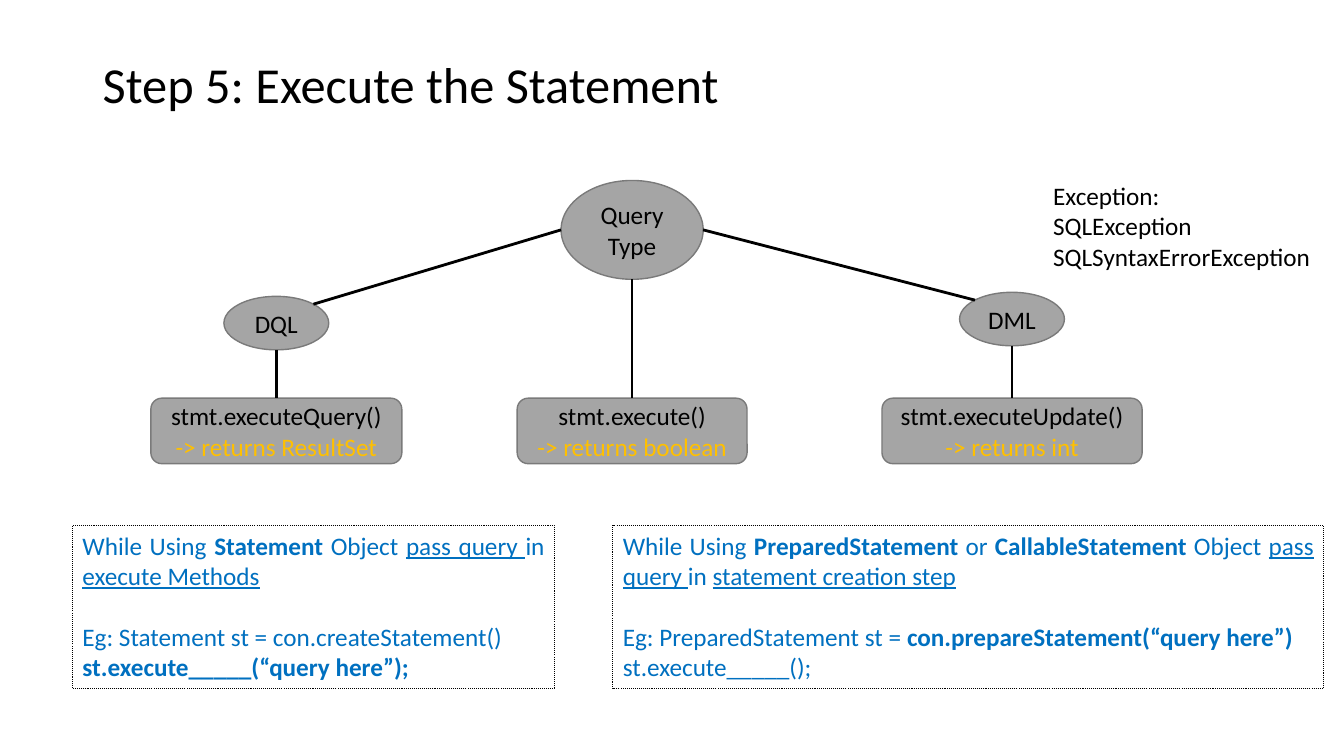
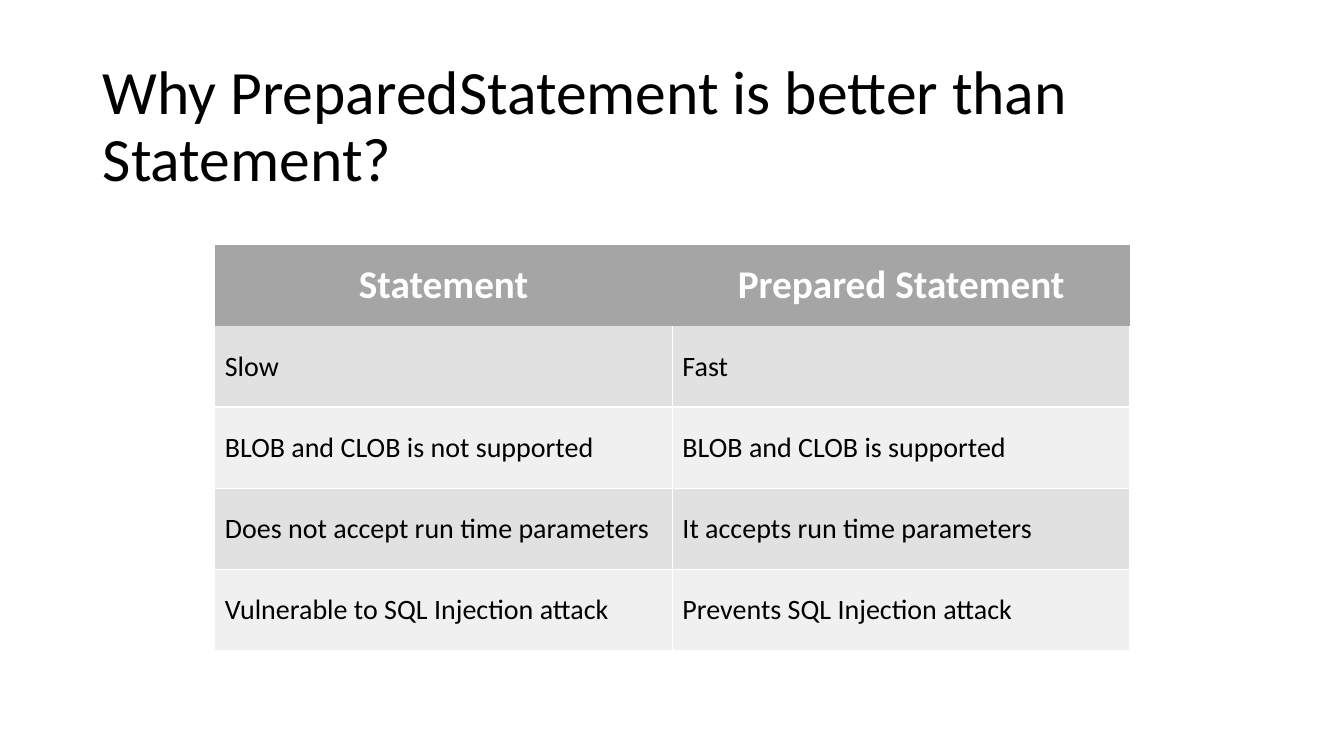
from math import sqrt

from lxml import etree
from pptx import Presentation
from pptx import util as u
from pptx.dml.color import RGBColor
from pptx.enum import dml, shapes, text
from pptx.oxml.ns import qn

FONT = "Calibri"
COLORS = {
    "text": "000000",
    "white": "FFFFFF",
    "node": "A5A5A5",
    "node_line": "7A7A7A",
    "result": "FFC000",
    "note": "0070C0",
    "band_dark": "E1E1E1",
    "band_light": "F0F0F0",
}
TITLE_ONLY = 5
DIAGONAL = sqrt(0.5)
BODY_SIZE = 18
BLANK_LINE = 22
TOP, BOTTOM, LEFT, RIGHT = (0, -1), (0, 1), (-1, 0), (1, 0)
TOP_LEFT, TOP_RIGHT = (-DIAGONAL, -DIAGONAL), (DIAGONAL, -DIAGONAL)

COMPARISON = [
    ("Statement", "Prepared Statement"),
    ("Slow", "Fast"),
    ("BLOB and CLOB is not supported", "BLOB and CLOB is supported"),
    ("Does not accept run time parameters", "It accepts run time parameters"),
    ("Vulnerable to SQL Injection attack", "Prevents SQL Injection attack"),
]
STATEMENT_NOTE = [
    [("While Using ", ""), ("Statement", "b"), (" Object ", ""),
     ("pass query ", "u"), ("in ", ""), ("execute Methods", "u")],
    [("Eg: Statement st = con.createStatement()", "")],
    [("st.execute_____(“query here”);", "b")],
]
PREPARED_NOTE = [
    [("While Using ", ""), ("PreparedStatement", "b"), (" or ", ""),
     ("CallableStatement", "b"), (" Object ", ""), ("pass query ", "u"),
     ("in ", ""), ("statement creation step", "u")],
    [("Eg: PreparedStatement st = ", ""), ("con.prepareStatement(“query here”)", "b")],
    [("st.execute_____();", "")],
]


def color(name):
    return RGBColor.from_string(COLORS[name])


def points(*lengths):
    return [u.Pt(length) for length in lengths]


def add_run(paragraph, words, size=BODY_SIZE, ink="text", style=""):
    """Style holds "b" for bold and "u" for underlined."""
    run = paragraph.add_run()
    run.text = words
    run.font.name = FONT
    run.font.size = u.Pt(size)
    run.font.color.rgb = color(ink)
    run.font.bold = "b" in style
    run.font.underline = "u" in style


def add_paragraph(frame, index, alignment):
    paragraph = frame.paragraphs[0] if index == 0 else frame.add_paragraph()
    paragraph.alignment = alignment
    return paragraph


def add_titled_slide(presentation, words, size, top, height):
    slide = presentation.slides.add_slide(presentation.slide_layouts[TITLE_ONLY])
    title = slide.shapes.title
    title.left, title.top, title.width, title.height = points(66.2, top, 828, height)
    frame = title.text_frame
    frame.auto_size = text.MSO_AUTO_SIZE.NONE
    frame.vertical_anchor = text.MSO_ANCHOR.TOP
    paragraph = add_paragraph(frame, 0, text.PP_ALIGN.LEFT)
    paragraph.line_spacing = 0.9
    add_run(paragraph, words, size)
    return slide


def add_node(slide, kind, center, top, width, height, lines):
    """Add a grey shape; lines are pairs of text and colour name."""
    shape = slide.shapes.add_shape(kind, *points(center - width / 2, top, width, height))
    shape.shadow.inherit = False
    shape.fill.solid()
    shape.fill.fore_color.rgb = color("node")
    shape.line.color.rgb = color("node_line")
    shape.line.width = u.Pt(1)
    frame = shape.text_frame
    frame.word_wrap = True
    frame.vertical_anchor = text.MSO_ANCHOR.MIDDLE
    for index, (words, ink) in enumerate(lines):
        add_run(add_paragraph(frame, index, text.PP_ALIGN.CENTER), words, ink=ink)
    return shape


def add_ellipse(slide, words, center, top, width, height):
    return add_node(slide, shapes.MSO_SHAPE.OVAL, center, top, width, height, [(words, "text")])


def add_method(slide, call, result, center, width):
    lines = [(call, "text"), (result, "result")]
    kind = shapes.MSO_SHAPE.ROUNDED_RECTANGLE
    return add_node(slide, kind, center, 284.4, width, 46.8, lines)


def edge(shape, direction):
    """Return the point reached from the shape's centre, in half-widths and half-heights."""
    across, down = direction
    return (
        round(shape.left + shape.width * (1 + across) / 2),
        round(shape.top + shape.height * (1 + down) / 2),
    )


def add_link(slide, start, start_side, end, end_side):
    link = slide.shapes.add_connector(
        shapes.MSO_CONNECTOR.STRAIGHT, *edge(start, start_side), *edge(end, end_side)
    )
    link.line.color.rgb = color("text")
    link.line.width = u.Pt(2)
    etree.SubElement(link.element.spPr, qn("a:effectLst"))


def add_note(slide, left, width, lines):
    note = slide.shapes.add_textbox(*points(left, 375.1, width, 116.6))
    note.line.color.rgb = color("text")
    note.line.width = u.Pt(0.75)
    note.line.dash_style = dml.MSO_LINE.ROUND_DOT
    frame = note.text_frame
    frame.word_wrap = True
    frame.auto_size = text.MSO_AUTO_SIZE.SHAPE_TO_FIT_TEXT
    for index, runs in enumerate(lines):
        paragraph = add_paragraph(frame, index, text.PP_ALIGN.JUSTIFY)
        if index == 1:
            paragraph.space_before = u.Pt(BLANK_LINE)
        for words, style in runs:
            add_run(paragraph, words, ink="note", style=style)


def add_exceptions(slide, lines):
    box = slide.shapes.add_textbox(*points(745.2, 125.3, 199.4, 72.7))
    frame = box.text_frame
    frame.word_wrap = False
    frame.auto_size = text.MSO_AUTO_SIZE.SHAPE_TO_FIT_TEXT
    for index, words in enumerate(lines):
        add_run(add_paragraph(frame, index, text.PP_ALIGN.LEFT), words)


def set_borders(cell, visible_sides):
    """Draw white borders on the named sides and none on the others."""
    properties = cell._tc.get_or_add_tcPr()
    for index, side in enumerate("LRTB"):
        border = etree.Element(qn(f"a:ln{side}"), w=str(u.Pt(1)))
        if side in visible_sides:
            fill = etree.SubElement(border, qn("a:solidFill"))
            etree.SubElement(fill, qn("a:srgbClr"), val=COLORS["white"])
        else:
            etree.SubElement(border, qn("a:noFill"))
        properties.insert(index, border)


def add_comparison(slide, rows):
    row_height, column_width = 57.9, 326.9
    frame = slide.shapes.add_table(
        len(rows), 2, *points(153.4, 175, 2 * column_width, row_height * len(rows))
    )
    table = frame.table
    for row_index, row in enumerate(rows):
        header = row_index == 0
        band = "band_dark" if row_index % 2 else "band_light"
        sides = "" if header else "LRB" if row_index == 1 else "LRTB"
        table.rows[row_index].height = u.Pt(row_height)
        for column_index, words in enumerate(row):
            cell = table.cell(row_index, column_index)
            cell.fill.solid()
            cell.fill.fore_color.rgb = color("node" if header else band)
            cell.vertical_anchor = text.MSO_ANCHOR.MIDDLE
            alignment = text.PP_ALIGN.CENTER if header else text.PP_ALIGN.LEFT
            paragraph = add_paragraph(cell.text_frame, 0, alignment)
            if header:
                add_run(paragraph, words, 28, "white", "b")
            else:
                add_run(paragraph, words, 20)
            set_borders(cell, sides)


def build_execute_slide(presentation):
    slide = add_titled_slide(presentation, "Step 5: Execute the Statement", 36, 38.9, 70.6)
    left, middle, right = 197.4, 451.5, 722.9

    query = add_ellipse(slide, "Query Type", middle, 128.9, 101.5, 70.6)
    dql = add_ellipse(slide, "DQL", left, 211.7, 74.9, 38.2)
    dml_node = add_ellipse(slide, "DML", right, 208.8, 74.9, 38.2)
    execute_query = add_method(slide, "stmt.executeQuery()", "-> returns ResultSet", left, 179.3)
    execute = add_method(slide, "stmt.execute()", "-> returns boolean", middle, 164.2)
    execute_update = add_method(slide, "stmt.executeUpdate()", "-> returns int", right, 185.8)

    add_link(slide, query, LEFT, dql, TOP_RIGHT)
    add_link(slide, query, RIGHT, dml_node, TOP_LEFT)
    for parent, method in ((dql, execute_query), (query, execute), (dml_node, execute_update)):
        add_link(slide, parent, BOTTOM, method, TOP)

    add_note(slide, 51.8, 344.2, STATEMENT_NOTE)
    add_note(slide, 437.8, 507.6, PREPARED_NOTE)
    add_exceptions(slide, ["Exception:", "SQLException", "SQLSyntaxErrorException"])


def build_comparison_slide(presentation):
    slide = add_titled_slide(
        presentation, "Why PreparedStatement is better than Statement?", 44, 40.3, 97.9
    )
    add_comparison(slide, COMPARISON)


def main():
    presentation = Presentation()
    presentation.slide_width, presentation.slide_height = points(960, 540)
    build_execute_slide(presentation)
    build_comparison_slide(presentation)
    presentation.save("out.pptx")


if __name__ == "__main__":
    main()
